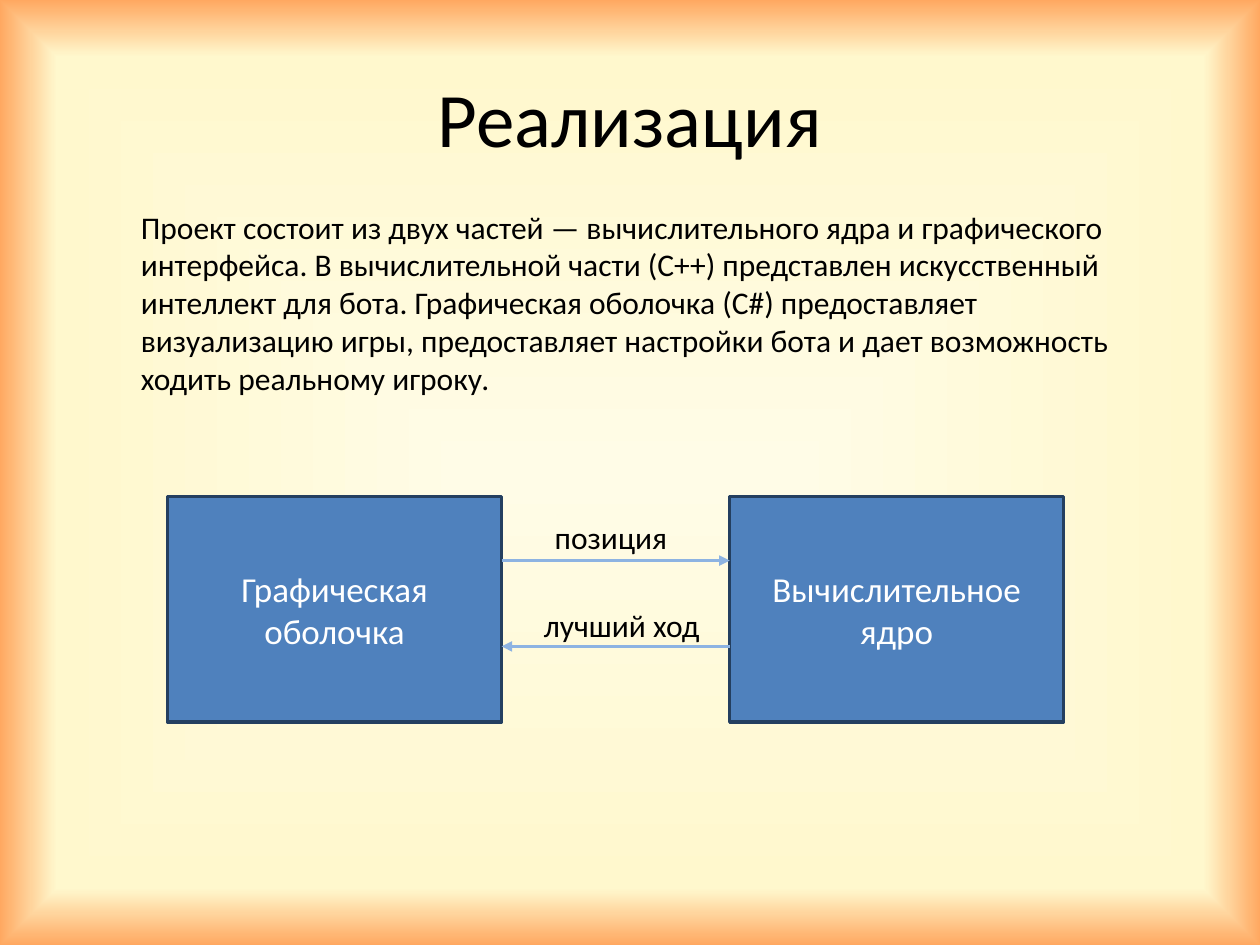
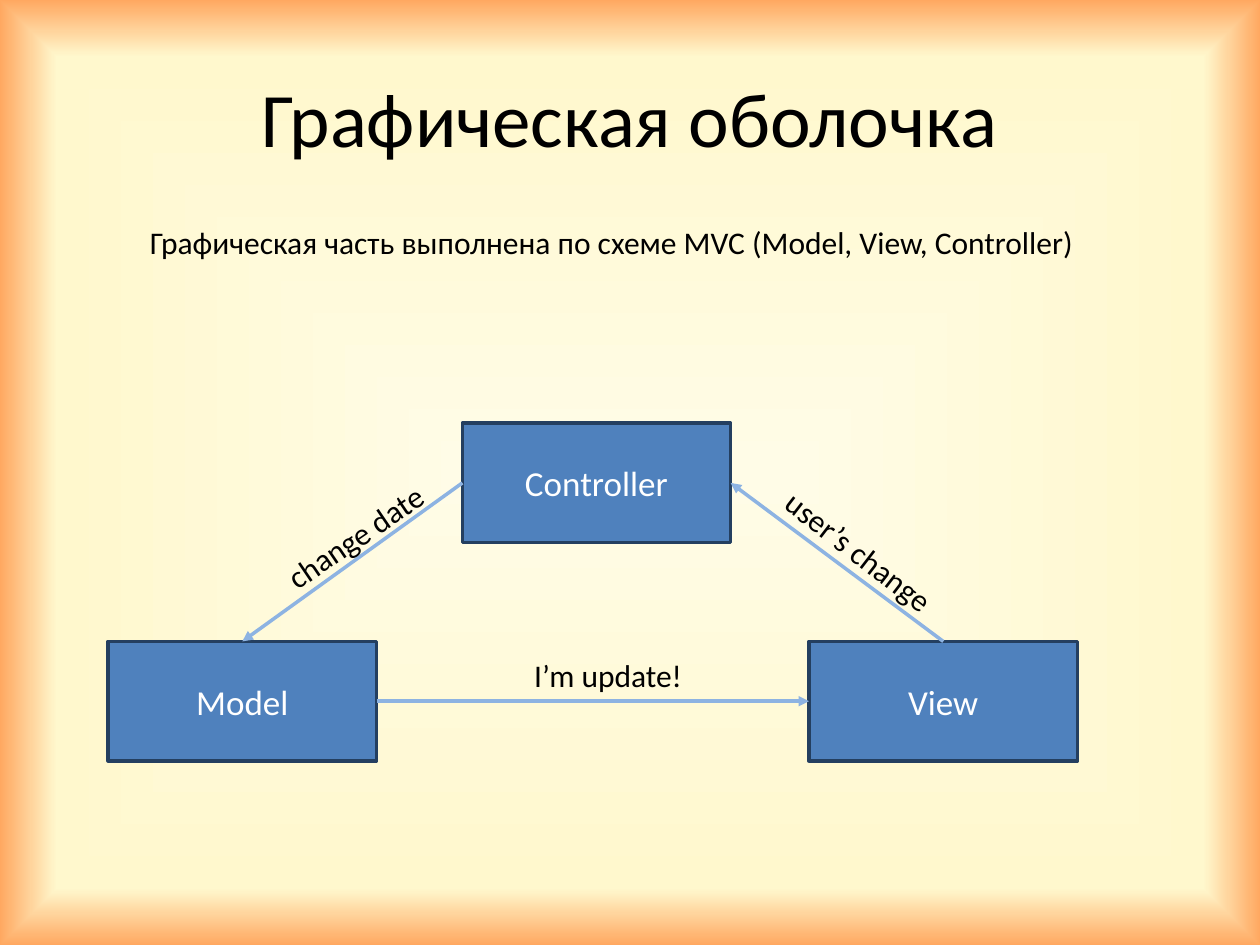
"""Build two slides on how a game project is put together."""
from pptx import Presentation
from pptx.dml.color import RGBColor
from pptx.enum.shapes import MSO_CONNECTOR, MSO_SHAPE
from pptx.enum.text import MSO_ANCHOR, MSO_AUTO_SIZE, PP_ALIGN
from pptx.oxml import parse_xml
from pptx.oxml.ns import nsdecls, qn
from pptx.oxml.xmlchemy import OxmlElement
from pptx.util import Cm, Pt

STRAIGHT = MSO_CONNECTOR.STRAIGHT
PROCESS = MSO_SHAPE.FLOWCHART_PROCESS
MIDDLE = MSO_ANCHOR.MIDDLE
FIT_SHAPE = MSO_AUTO_SIZE.SHAPE_TO_FIT_TEXT
LEFT, CENTER = PP_ALIGN.LEFT, PP_ALIGN.CENTER
TOP_SITE, LEFT_SITE, RIGHT_SITE = 0, 1, 3

FONT = "Calibri"
TITLE_ONLY = 5
COLORS = {
    "text": "000000",
    "box": "4F81BD",
    "box_line": "243F60",
    "box_text": "FFFFFF",
    "arrow": "8DB3E2",
}
BACKGROUND_STOPS = [(0, "FFFCE7"), (88, "FFF8CD"), (100, "FFA861")]


def color(name):
    """Return a named colour of the deck."""
    return RGBColor.from_string(COLORS[name])


def set_background(master):
    """Give all slides a gradient that spreads from the centre to the edges."""
    master.background.fill.solid()
    solid = next(master.element.iter(qn("a:solidFill")))
    stops = "".join(
        f'<a:gs pos="{percent * 1000}"><a:srgbClr val="{value}"/></a:gs>'
        for percent, value in BACKGROUND_STOPS
    )
    gradient = parse_xml(
        f'<a:gradFill {nsdecls("a")} rotWithShape="1"><a:gsLst>{stops}</a:gsLst>'
        '<a:path path="rect"><a:fillToRect l="50000" t="50000" r="50000" b="50000"/>'
        "</a:path></a:gradFill>"
    )
    solid.getparent().replace(solid, gradient)


def write(frame, text, size, color_name, align, spacing=0):
    """Put one formatted paragraph into a text frame."""
    frame.text = text
    paragraph = frame.paragraphs[0]
    paragraph.alignment = align
    if spacing:
        paragraph.space_before = paragraph.space_after = Pt(spacing)
    paragraph.font.name = FONT
    paragraph.font.size = Pt(size)
    paragraph.font.color.rgb = color(color_name)


def add_slide(presentation, title):
    """Add a title-only slide with its title."""
    slide = presentation.slides.add_slide(presentation.slide_layouts[TITLE_ONLY])
    shape = slide.shapes.title
    shape.left, shape.top, shape.width, shape.height = Cm(1.27), Cm(0.76), Cm(22.86), Cm(3.18)
    shape.text_frame.vertical_anchor = MIDDLE
    write(shape.text_frame, title, 44, "text", CENTER)
    return slide


def add_text(slide, text, left, top, width, height=1.02, align=LEFT, spacing=0,
             wrap=False, rotation=0):
    """Add a text box that fits its text."""
    shape = slide.shapes.add_textbox(Cm(left), Cm(top), Cm(width), Cm(height))
    shape.rotation = rotation
    shape.text_frame.word_wrap = wrap
    shape.text_frame.auto_size = FIT_SHAPE
    write(shape.text_frame, text, 18, "text", align, spacing)


def add_box(slide, text, left, top, width, height, spacing=0):
    """Add a process box with a centred caption."""
    shape = slide.shapes.add_shape(PROCESS, Cm(left), Cm(top), Cm(width), Cm(height))
    shape.shadow.inherit = False
    shape.fill.solid()
    shape.fill.fore_color.rgb = color("box")
    shape.line.color.rgb = color("box_line")
    shape.line.width = Pt(2)
    shape.text_frame.word_wrap = True
    shape.text_frame.vertical_anchor = MIDDLE
    write(shape.text_frame, text, 20, "box_text", CENTER, spacing)
    return shape


def add_arrow(slide, start_x=0, start_y=0, end_x=0, end_y=0):
    """Add a line with an arrowhead at its end."""
    arrow = slide.shapes.add_connector(
        STRAIGHT, Cm(start_x), Cm(start_y), Cm(end_x), Cm(end_y))
    arrow.line.color.rgb = color("arrow")
    arrow.line.width = Pt(2)
    head = OxmlElement("a:tailEnd")
    head.set("type", "triangle")
    arrow.line._get_or_add_ln().append(head)
    arrow._element.spPr.append(OxmlElement("a:effectLst"))
    return arrow


def link_boxes(slide, source, source_site, target, target_site):
    """Join two boxes with an arrow."""
    arrow = add_arrow(slide)
    arrow.begin_connect(source, source_site)
    arrow.end_connect(target, target_site)


def add_implementation_slide(presentation):
    """Add the slide on the two parts of the project."""
    slide = add_slide(presentation, "Реализация")
    shell_left, core_left, top, width, height = 3.38, 14.71, 10.01, 6.73, 4.55
    shell_right = shell_left + width
    add_box(slide, "Вычислительное ядро", core_left, top, width, height, spacing=5)
    add_box(slide, "Графическая оболочка", shell_left, top, width, height, spacing=5)
    add_arrow(slide, shell_right, 11.3, core_left, 11.3)
    add_text(slide, "позиция", 10.92, 10.31, 2.79, align=CENTER, spacing=5)
    add_arrow(slide, core_left, 13.03, shell_right, 13.03)
    add_text(slide, "лучший ход", 10.31, 12.09, 4.45, align=CENTER, spacing=5, wrap=True)
    add_text(
        slide,
        "Проект состоит из двух частей — вычислительного ядра и графического "
        "интерфейса. В вычислительной части (С++) представлен искусственный "
        "интеллект для бота. Графическая оболочка (С#) предоставляет "
        "визуализацию игры, предоставляет настройки бота и дает возможность "
        "ходить реальному игроку.",
        2.59, 4.06, 21.03, 4.88, wrap=True)


def add_shell_slide(presentation):
    """Add the slide on the model, view and controller."""
    slide = add_slide(presentation, "Графическая оболочка")
    add_text(slide, "Графическая часть выполнена по схеме MVC (Model, View, Controller)",
             2.77, 4.37, 19.35)
    width, height, lower_top = 5.41, 2.41, 12.93
    view = add_box(slide, "View", 16.31, lower_top, width, height)
    controller = add_box(slide, "Controller", 9.32, 8.53, width, height)
    model = add_box(slide, "Model", 2.18, lower_top, width, height)
    link_boxes(slide, model, RIGHT_SITE, view, LEFT_SITE)
    add_text(slide, "I’m update!", 10.52, 13.11, 3.53)
    link_boxes(slide, view, TOP_SITE, controller, RIGHT_SITE)
    add_text(slide, "user’s change", 15.09, 11.25, 6.1, wrap=True, rotation=37.8)
    link_boxes(slide, controller, LEFT_SITE, model, TOP_SITE)
    add_text(slide, "change date", 5.33, 10.29, 3.71, rotation=325.8)


def main():
    """Build and save the presentation."""
    presentation = Presentation()
    presentation.slide_width, presentation.slide_height = Cm(25.4), Cm(19.05)
    set_background(presentation.slide_master)
    add_implementation_slide(presentation)
    add_shell_slide(presentation)
    presentation.save("out.pptx")


main()
